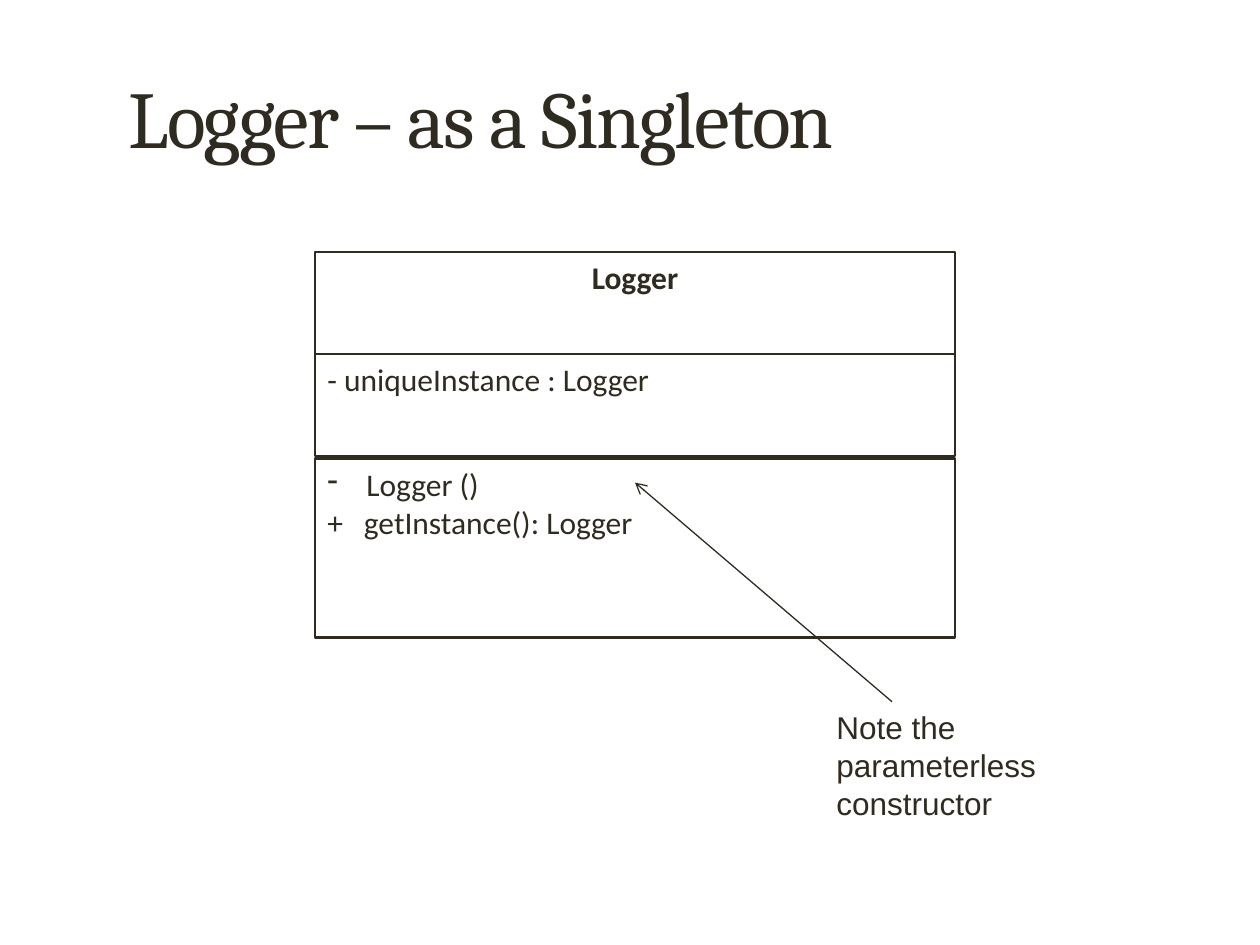
from lxml import etree
from pptx import Presentation
from pptx.dml.color import RGBColor
from pptx.enum.shapes import MSO_CONNECTOR as CONN, MSO_SHAPE as SHAPE
from pptx.enum.text import MSO_ANCHOR as ANCHOR, PP_ALIGN as ALIGN
from pptx.oxml.ns import qn
from pptx.util import Inches, Pt

INK = "2F2B20"
BOX_LEFT, BOX_WIDTH = 2.5, 5.08


def color(hex_code):
    return RGBColor.from_string(hex_code)


def write(p, text, font="Calibri", size=18, bold=False, align=ALIGN.LEFT,
          hang=0, bullet=None, spacing=None):
    """Fill one paragraph with formatted text."""
    p.alignment = align
    pPr = p._p.get_or_add_pPr()
    if hang:
        pPr.set("marL", str(Inches(hang)))
        pPr.set("indent", str(-Inches(hang)))
    if bullet:
        etree.SubElement(pPr, qn("a:buChar"), char=bullet)
    r = p.add_run()
    r.text = text
    r.font.name, r.font.size, r.font.bold = font, Pt(size), bold
    r.font.color.rgb = color(INK)
    if spacing is not None:
        r._r.get_or_add_rPr().set("spc", str(int(spacing * 100)))


def add_title(slide, text):
    sp = slide.shapes.title
    sp.left, sp.top = Inches(0.92), Inches(0.3)
    sp.width, sp.height = Inches(7.5), Inches(1.25)
    sp.text_frame.vertical_anchor = ANCHOR.MIDDLE
    write(sp.text_frame.paragraphs[0], text, font="Cambria", size=46, spacing=-1)


def add_compartment(group, top, height, lines):
    """Add one compartment of the class box; lines are (text, format) pairs."""
    sp = group.shapes.add_shape(SHAPE.RECTANGLE, Inches(BOX_LEFT), Inches(top),
                                Inches(BOX_WIDTH), Inches(height))
    sp.shadow.inherit = False
    sp.fill.background()
    sp.line.color.rgb = color(INK)
    sp.line.width = Pt(1.5)
    tf = sp.text_frame
    tf.word_wrap = True
    tf.vertical_anchor = ANCHOR.TOP
    for i, (text, fmt) in enumerate(lines):
        p = tf.add_paragraph() if i else tf.paragraphs[0]
        write(p, text, **fmt)


def add_arrow(slide, start, end):
    line = slide.shapes.add_connector(CONN.STRAIGHT, *map(Inches, start + end))
    line.line.color.rgb = color(INK)
    line.line.width = Pt(0.75)
    etree.SubElement(line.line._get_or_add_ln(), qn("a:tailEnd"), type="arrow")
    etree.SubElement(line._element.spPr, qn("a:effectLst"))


def add_note(slide, text):
    sp = slide.shapes.add_textbox(Inches(6.54), Inches(5.57),
                                  Inches(2.25), Inches(1.01))
    sp.text_frame.word_wrap = True
    write(sp.text_frame.paragraphs[0], text, font="Arial")


def main():
    prs = Presentation()
    prs.slide_width, prs.slide_height = Inches(10), Inches(7.5)
    slide = prs.slides.add_slide(prs.slide_layouts[5])

    add_title(slide, "Logger – as a Singleton")

    # Class box: name, attributes, operations
    group = slide.shapes.add_group_shape()
    add_compartment(group, 2, 0.81, [("Logger", dict(bold=True, align=ALIGN.CENTER))])
    add_compartment(group, 2.81, 0.81, [("- uniqueInstance : Logger", {})])
    add_compartment(group, 3.64, 1.42, [
        ("Logger ()", dict(hang=0.31, bullet="-")),
        ("+\tgetInstance(): Logger", dict(hang=0.29)),
    ])

    # Note on the constructor
    add_arrow(slide, (7.08, 5.57), (5.04, 3.83))
    add_note(slide, "Note the parameterless constructor")

    prs.save("out.pptx")


if __name__ == "__main__":
    main()
